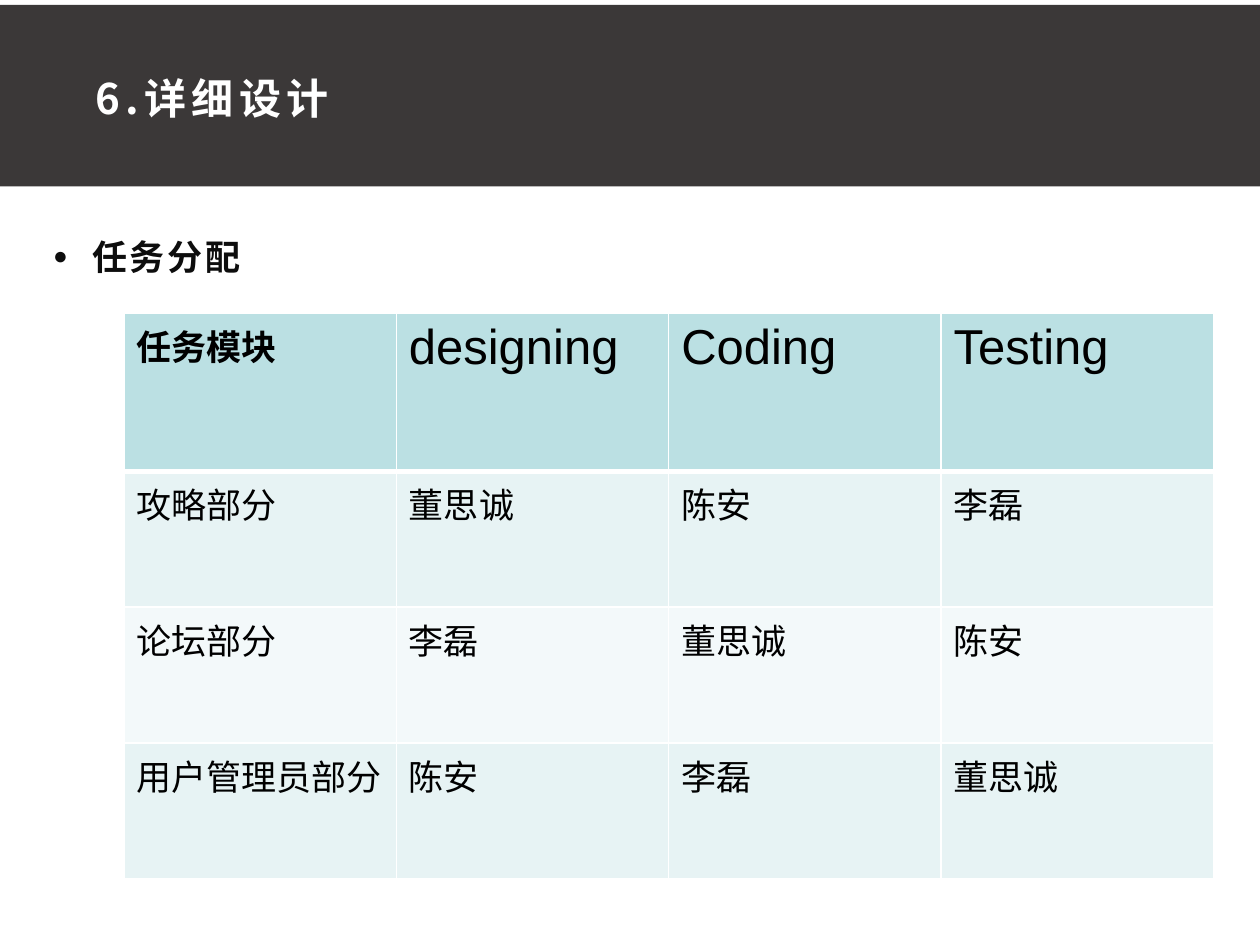
"""Build the task assignment slide of the detailed design chapter."""
from dataclasses import dataclass

import lxml.etree
import pptx
import pptx.dml.color
import pptx.enum.shapes
import pptx.enum.text
import pptx.oxml.ns
import pptx.util

Cm = pptx.util.Cm
Pt = pptx.util.Pt
qn = pptx.oxml.ns.qn


@dataclass(frozen=True)
class Theme:
    band: str = "3B3838"
    white: str = "FFFFFF"
    ink: str = "0D0D0D"
    black: str = "000000"
    header: str = "BBE0E3"
    stripes: tuple = ("E7F3F4", "F3F9FA")
    latin: str = "Arial"
    cjk: str = "Noto Sans CJK SC"
    title_size: int = 24
    body_size: int = 20
    label_size: int = 28


THEME = Theme()
ASSIGNMENTS = (
    ("任务模块", "designing", "Coding", "Testing"),
    ("攻略部分", "董思诚", "陈安", "李磊"),
    ("论坛部分", "李磊", "董思诚", "陈安"),
    ("用户管理员部分", "陈安", "李磊", "董思诚"),
)


def rgb(color):
    return pptx.dml.color.RGBColor.from_string(color)


def style(paragraph, size, color, latin, bold=False, spacing=0):
    font = paragraph.font
    font.size, font.bold, font.name = Pt(size), bold, latin
    font.color.rgb = rgb(color)
    defaults = paragraph._p.get_or_add_pPr().get_or_add_defRPr()
    lxml.etree.SubElement(defaults, qn("a:ea"), typeface=THEME.cjk)
    if spacing:
        defaults.set("spc", str(int(spacing * 100)))


def set_frame(frame, anchor, left, right):
    frame.word_wrap = True
    frame.auto_size = pptx.enum.text.MSO_AUTO_SIZE.NONE
    frame.vertical_anchor = anchor
    frame.margin_left, frame.margin_right = Cm(left), Cm(right)
    frame.margin_top = frame.margin_bottom = Cm(0.1)


def add_band(slide):
    band = slide.shapes.add_shape(
        pptx.enum.shapes.MSO_SHAPE.RECTANGLE, 0, Cm(0.1), Cm(25.4), Cm(3.66))
    band.shadow.inherit = False
    band.fill.solid()
    band.fill.fore_color.rgb = rgb(THEME.band)
    band.line.fill.background()
    slide.shapes._spTree.insert(2, band._element)


def set_title(slide, text):
    title = slide.shapes.title
    title.left, title.top = Cm(1.65), Cm(1.37)
    title.width, title.height = Cm(22.8), Cm(1.1)
    set_frame(title.text_frame, pptx.enum.text.MSO_ANCHOR.TOP, 0.28, 0.2)
    title.text_frame.text = text
    paragraph = title.text_frame.paragraphs[0]
    paragraph.alignment = pptx.enum.text.PP_ALIGN.LEFT
    style(paragraph, THEME.title_size, THEME.white, THEME.cjk, True, 3)


def add_bullet(slide, text):
    box = slide.shapes.add_textbox(Cm(0.89), Cm(4.04), Cm(8.56), Cm(1.98))
    set_frame(box.text_frame, pptx.enum.text.MSO_ANCHOR.MIDDLE, 0.18, 0.18)
    paragraph = box.text_frame.paragraphs[0]
    paragraph.text = text
    paragraph.line_spacing, paragraph.space_after = Pt(32), Pt(8)
    properties = paragraph._p.get_or_add_pPr()
    properties.set("marL", str(Cm(0.79)))
    properties.set("indent", str(-Cm(0.79)))
    lxml.etree.SubElement(properties, qn("a:buSzPct"), val="70000")
    lxml.etree.SubElement(properties, qn("a:buFont"), typeface=THEME.latin)
    lxml.etree.SubElement(properties, qn("a:buChar"), char="●")
    style(paragraph, THEME.body_size, THEME.ink, THEME.cjk, True, 1.5)


def set_borders(cell, widths):
    properties = cell._tc.get_or_add_tcPr()
    for side, width in widths.items():
        line = lxml.etree.SubElement(properties, qn(f"a:ln{side}"), w=str(Pt(width)))
        fill = lxml.etree.SubElement(line, qn("a:solidFill"))
        lxml.etree.SubElement(fill, qn("a:srgbClr"), val=THEME.white)


def add_assignments(slide, rows):
    table = slide.shapes.add_table(
        len(rows), len(rows[0]), Cm(2.5), Cm(6.32), Cm(21.96), Cm(11.4)).table
    table.horz_banding = False
    for column in table.columns:
        column.width = Cm(5.49)
    for r, names in enumerate(rows):
        is_header = r == 0
        table.rows[r].height = Cm(3.18 if is_header else 2.74)
        for c, name in enumerate(names):
            cell = table.cell(r, c)
            set_borders(cell, {"L": 1, "R": 1, "T": 3 if r == 1 else 1,
                               "B": 3 if is_header else 1})
            cell.fill.solid()
            cell.fill.fore_color.rgb = rgb(
                THEME.header if is_header else THEME.stripes[(r - 1) % 2])
            cell.text = name
            size = THEME.label_size if is_header and c else THEME.body_size
            style(cell.text_frame.paragraphs[0], size, THEME.black, THEME.latin,
                  bold=is_header and c == 0)


def main():
    deck = pptx.Presentation()
    deck.slide_width, deck.slide_height = Cm(25.4), Cm(19.05)
    slide = deck.slides.add_slide(deck.slide_layouts[5])
    add_band(slide)
    set_title(slide, "6.详细设计")
    add_bullet(slide, "任务分配")
    add_assignments(slide, ASSIGNMENTS)
    deck.save("out.pptx")


if __name__ == "__main__":
    main()
